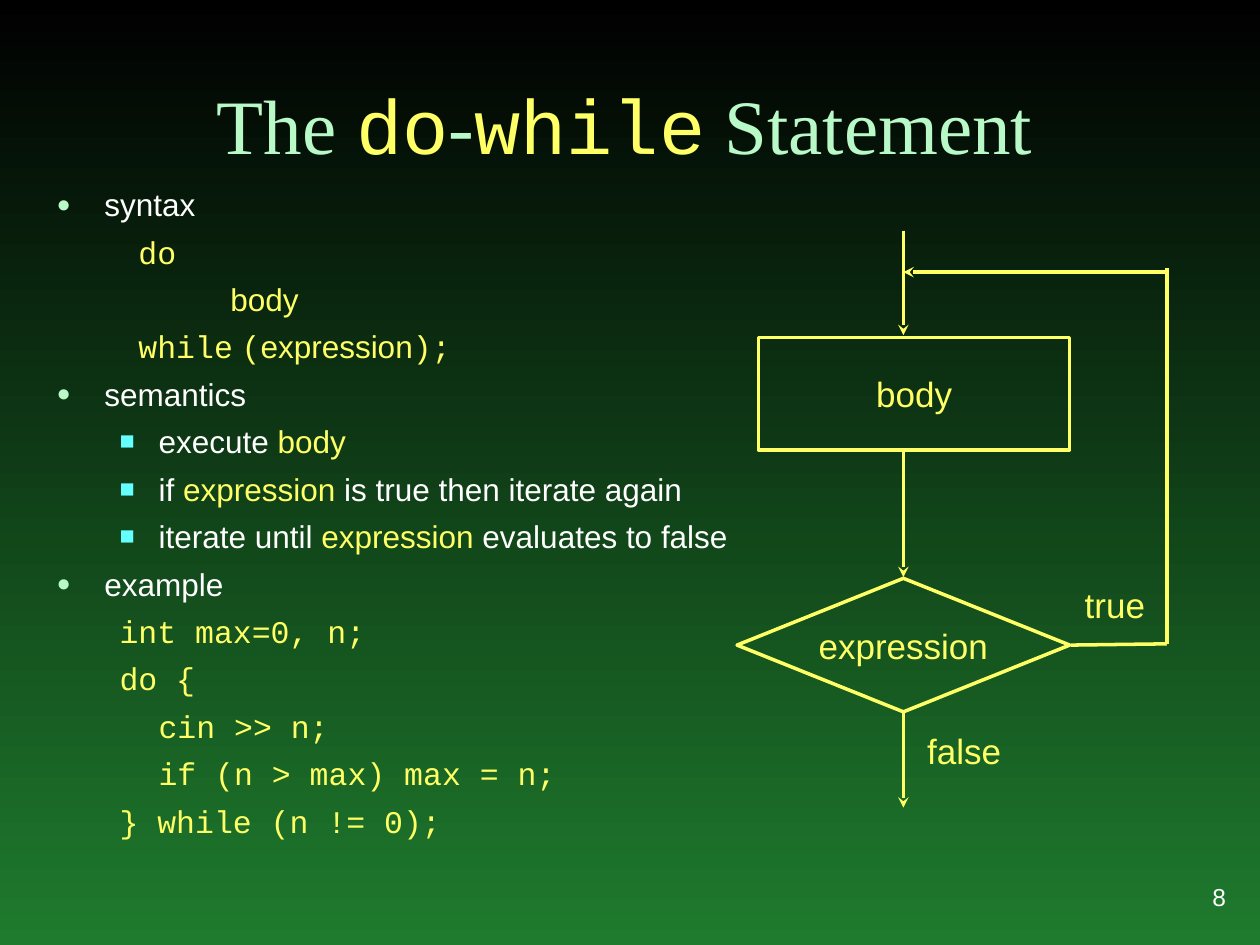
from typing import NamedTuple

from lxml.etree import SubElement
from pptx import Presentation
from pptx.dml.color import RGBColor
from pptx.enum.shapes import MSO_CONNECTOR, MSO_SHAPE
from pptx.enum.text import MSO_ANCHOR, PP_ALIGN
from pptx.oxml.ns import qn
from pptx.util import Inches, Pt

YELLOW, WHITE, MINT, CYAN = "FFFF66", "FFFFFF", "B9F9C8", "66FFFF"
SANS, MONO, SERIF = "Arial", "Courier New", "Times New Roman"


class Run(NamedTuple):
    text: str
    color: str = YELLOW
    face: str = SANS


class Bullet(NamedTuple):
    char: str
    color: str
    size: int


class Item(NamedTuple):
    runs: list[Run]
    left: float
    hang: float = 0
    mark: Bullet | None = None


class Line(NamedTuple):
    x1: float
    y1: float
    x2: float
    y2: float
    arrow: bool = False


class Label(NamedTuple):
    text: str
    box: tuple
    size: int = 20
    color: str = YELLOW
    align: PP_ALIGN = PP_ALIGN.LEFT
    anchor: MSO_ANCHOR = MSO_ANCHOR.TOP


def rgb(code: str) -> RGBColor:
    return RGBColor.from_string(code)


def add_runs(para, runs: list[Run], size: int) -> None:
    para.font.size = Pt(size)
    for part in runs:
        run = para.add_run()
        run.text = part.text
        run.font.name = part.face
        run.font.color.rgb = rgb(part.color)


def set_list(para, item: Item) -> None:
    """Set the indent and bullet of a list paragraph."""
    props = para._p.get_or_add_pPr()
    props.set("marL", str(Inches(item.left)))
    props.set("indent", str(-Inches(item.hang)))
    if not item.mark:
        SubElement(props, qn("a:buNone"))
        return
    tint = SubElement(props, qn("a:buClr"))
    SubElement(tint, qn("a:srgbClr"), val=item.mark.color)
    SubElement(props, qn("a:buSzPct"), val=str(item.mark.size * 1000))
    SubElement(props, qn("a:buFont"), typeface=SANS)
    SubElement(props, qn("a:buChar"), char=item.mark.char)


def add_list(slide, items: list[Item], box: tuple) -> None:
    frame = slide.shapes.add_textbox(*map(Inches, box)).text_frame
    frame.word_wrap = True
    for i, item in enumerate(items):
        para = frame.add_paragraph() if i else frame.paragraphs[0]
        set_list(para, item)
        para.space_before = Pt(5.5 if i else 0)
        add_runs(para, item.runs, 18)


def add_line(slide, line: Line) -> None:
    ends = map(Inches, line[:4])
    link = slide.shapes.add_connector(MSO_CONNECTOR.STRAIGHT, *ends)
    link.line.color.rgb = rgb(YELLOW)
    link.line.width = Pt(2)
    if line.arrow:
        SubElement(link.line._get_or_add_ln(), qn("a:tailEnd"), type="stealth")
    SubElement(link._element.spPr, qn("a:effectLst"))


def add_text(shape, label: Label) -> None:
    frame = shape.text_frame
    frame.word_wrap = False
    frame.vertical_anchor = label.anchor
    para = frame.paragraphs[0]
    para.alignment = label.align
    para.text = label.text
    para.font.size = Pt(label.size)
    para.font.name = SANS
    para.font.color.rgb = rgb(label.color)


def add_node(slide, kind: MSO_SHAPE, text: str, box: tuple) -> None:
    node = slide.shapes.add_shape(kind, *map(Inches, box))
    node.shadow.inherit = False
    node.fill.background()
    node.line.color.rgb = rgb(YELLOW)
    node.line.width = Pt(2)
    add_text(node, Label(text, box, align=PP_ALIGN.CENTER,
                         anchor=MSO_ANCHOR.MIDDLE))


def top(text: str) -> Item:
    return Item([Run(text, WHITE)], 0.38, 0.38, Bullet("●", MINT, 75))


def sub(*runs: Run) -> Item:
    return Item(list(runs), 0.81, 0.31, Bullet("■", CYAN, 80))


def code(text: str, left: float = 0.5) -> Item:
    return Item([Run(text, face=MONO)], left)


HEAD = [Run("The ", MINT, SERIF), Run("do", face=MONO), Run("-", MINT, SERIF),
        Run("while", face=MONO), Run(" Statement", MINT, SERIF)]

ITEMS = [
    top("syntax"),
    code("do", 0.65),
    Item([Run("body")], 1.38),
    Item([Run("while", face=MONO), Run(" "), Run("(", face=MONO),
          Run("expression"), Run(");", face=MONO)], 0.65),
    top("semantics"),
    sub(Run("execute ", WHITE), Run("body")),
    sub(Run("if ", WHITE), Run("expression"),
        Run(" is true then iterate again", WHITE)),
    sub(Run("iterate until ", WHITE), Run("expression"),
        Run(" evaluates to false", WHITE)),
    top("example"),
    code("int max=0, n;"),
    code("do {"),
    code("cin >> n;", 0.81),
    code("if (n > max) max = n;", 0.81),
    code("} while (n != 0);"),
]

FLOW, LOOP = 7.17, 9.26  # x of the main flow and of the loop back
LINES = [
    Line(FLOW, 1.83, FLOW, 2.66, True),
    Line(FLOW, 3.58, FLOW, 4.58, True),
    Line(FLOW, 5.66, FLOW, 6.41, True),
    Line(8.5, 5.12, LOOP, 5.11),
    Line(LOOP, 5.11, LOOP, 2.13),
    Line(LOOP, 2.16, FLOW, 2.16, True),
]

LABELS = [
    Label("true", (8.51, 4.58, 0.68, 0.43)),
    Label("false", (7.26, 5.74, 0.79, 0.43)),
    Label("8", (8.5, 6.83, 1.33, 0.58), 14, WHITE, PP_ALIGN.RIGHT,
          MSO_ANCHOR.MIDDLE),
]


def main() -> None:
    deck = Presentation()
    deck.slide_width, deck.slide_height = Inches(10), Inches(7.5)
    slide = deck.slides.add_slide(deck.slide_layouts[5])

    # Background, dark at the top
    fill = slide.background.fill
    fill.gradient()
    fill.gradient_angle = 270
    for stop, shade in zip(fill.gradient_stops, ("000000", "1F7B2E")):
        stop.color.rgb = rgb(shade)

    # Title
    title = slide.shapes.title
    title.left, title.top = Inches(0.67), Inches(0.35)
    title.width, title.height = Inches(8.58), Inches(1.05)
    title.text_frame.vertical_anchor = MSO_ANCHOR.BOTTOM
    para = title.text_frame.paragraphs[0]
    para.alignment = PP_ALIGN.CENTER
    add_runs(para, HEAD, 44)

    # Syntax, semantics and example
    add_list(slide, ITEMS, (0.35, 1.42, 5.59, 5.25))

    # Flow chart
    for line in LINES:
        add_line(slide, line)
    add_node(slide, MSO_SHAPE.RECTANGLE, "body", (6.02, 2.68, 2.47, 0.89))
    add_node(slide, MSO_SHAPE.DIAMOND, "expression", (5.85, 4.59, 2.64, 1.06))

    # Branch labels and page number
    for label in LABELS:
        add_text(slide.shapes.add_textbox(*map(Inches, label.box)), label)

    deck.save("out.pptx")


if __name__ == "__main__":
    main()
